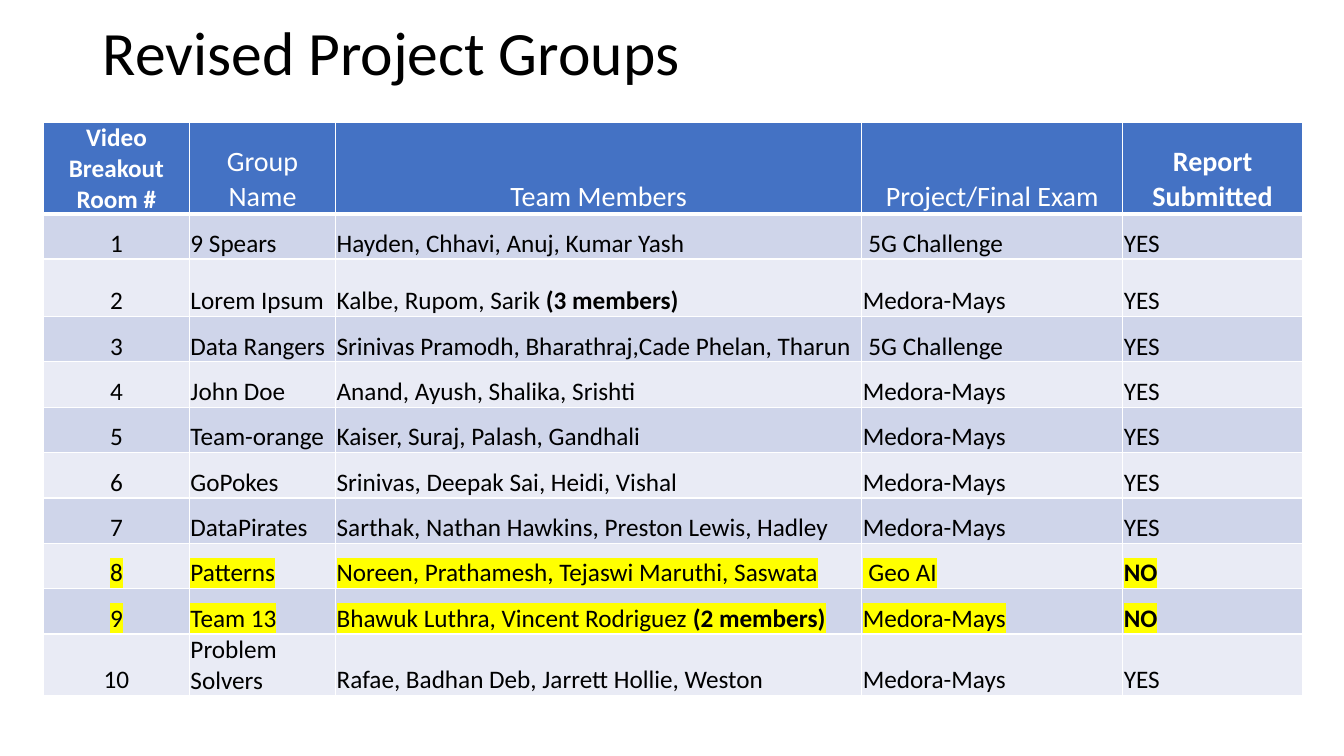
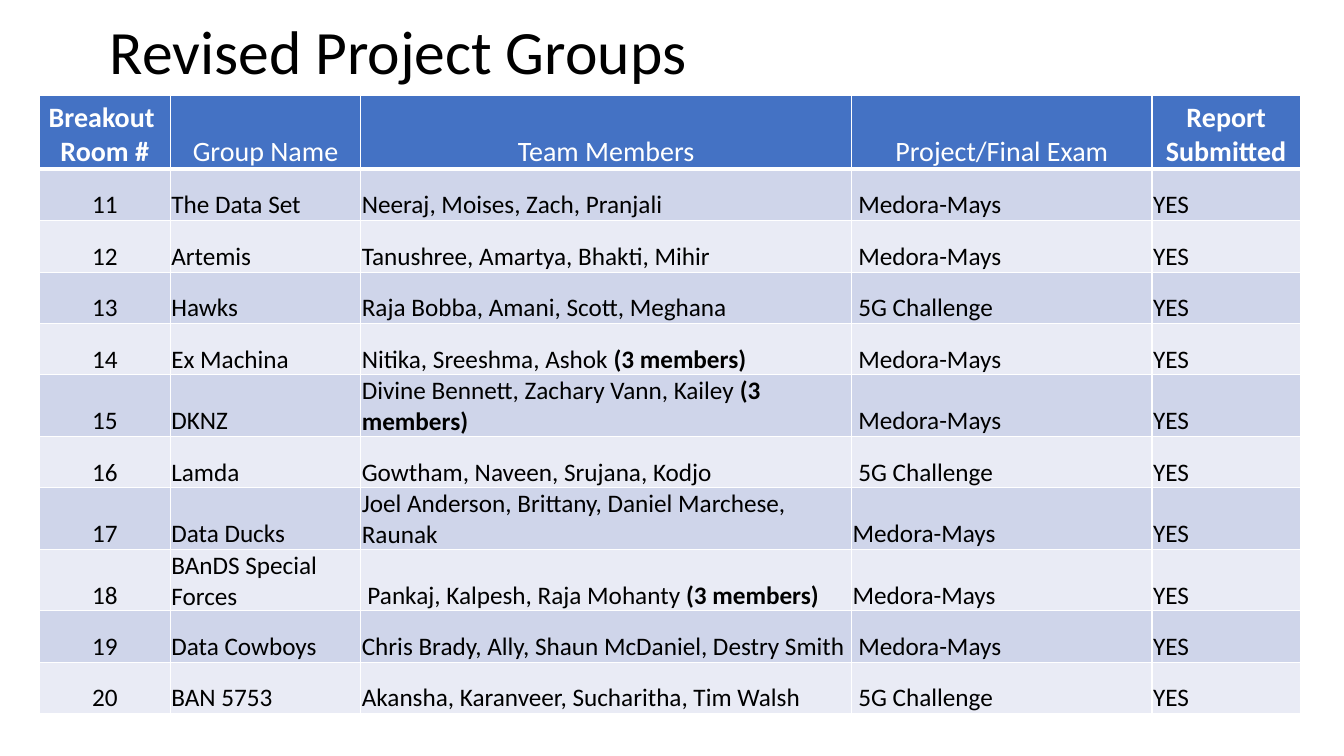
import dataclasses

import lxml.etree
import pptx
import pptx.dml.color
import pptx.enum.text
import pptx.oxml.ns
import pptx.util

ALIGN = pptx.enum.text.PP_ALIGN
ANCHOR = pptx.enum.text.MSO_ANCHOR
qn = pptx.oxml.ns.qn


@dataclasses.dataclass(frozen=True)
class Theme:
    font: str = "Calibri"
    ink: str = "000000"
    white: str = "FFFFFF"
    head: str = "4472C4"
    bands: tuple = ("CFD5EA", "E9EBF5")
    mark: str = "FFFF00"
    title: int = 44
    label: int = 20
    body: int = 18
    rule: int = 1
    thick: int = 3
    inset: float = 0.01


THEME = Theme()


def tint(code):
    return pptx.dml.color.RGBColor.from_string(code)


def shade(parent, tag, code):
    """Add a colour element of the given tag to an XML parent."""
    node = lxml.etree.SubElement(parent, qn(tag))
    lxml.etree.SubElement(node, qn("a:srgbClr"), val=code)


def write(frame, text, size=THEME.body, color=THEME.ink, bold=False,
          align=ALIGN.LEFT, mark=None, space=None):
    """Fill a text frame; a part in round brackets is set in bold."""
    for index, line in enumerate(text.split("\n")):
        para = frame.paragraphs[0] if index == 0 else frame.add_paragraph()
        para.alignment = align
        if space:
            para.line_spacing = space
        plain, sign, rest = line.partition("(")
        for part, heavy in ((plain, bold), (sign + rest, True)):
            if not part:
                continue
            run = para.add_run()
            run.text = part
            run.font.size = pptx.util.Pt(size)
            run.font.bold = heavy
            run.font.color.rgb = tint(color)
            if mark:
                shade(run.font._element, "a:highlight", mark)
            run.font.name = THEME.font


class Deck:
    """Places elements on a grid of 160 columns by 90 rows."""

    def __init__(self, theme):
        self.theme = theme
        self.show = pptx.Presentation()
        self.show.slide_width = pptx.util.Inches(13.33)
        self.show.slide_height = pptx.util.Inches(7.5)

    def col(self, count):
        return round(self.show.slide_width * count / 160)

    def row(self, count):
        return round(self.show.slide_height * count / 90)

    def page(self):
        self.slide = self.show.slides.add_slide(self.show.slide_layouts[6])

    def title(self, text, left, high):
        box = self.slide.shapes.add_textbox(
            self.col(left), 0, self.col(138), self.row(high))
        frame = box.text_frame
        frame.word_wrap = True
        frame.vertical_anchor = ANCHOR.MIDDLE
        write(frame, text, size=self.theme.title, space=0.9)

    def table(self, left, top, widths, heights):
        shape = self.slide.shapes.add_table(
            len(heights), len(widths), self.col(left), self.row(top),
            self.col(sum(widths)), self.row(sum(heights)))
        grid = shape.table
        for column, width in zip(grid.columns, widths):
            column.width = self.col(width)
        for line, height in zip(grid.rows, heights):
            line.height = self.row(height)
        return grid

    def cell(self, cell, text, fill, base=THEME.rule, **style):
        """Style one table cell; base is the width of its bottom rule."""
        cell.vertical_anchor = ANCHOR.BOTTOM
        inset = pptx.util.Inches(self.theme.inset)
        cell.margin_left = cell.margin_right = cell.margin_top = inset
        cell.margin_bottom = 0
        props = cell._tc.get_or_add_tcPr()
        for side in "LRTB":
            wide = base if side == "B" else self.theme.rule
            edge = lxml.etree.SubElement(
                props, qn("a:ln" + side), w=str(pptx.util.Pt(wide)))
            fill_node = lxml.etree.SubElement(edge, qn("a:solidFill"))
            lxml.etree.SubElement(
                fill_node, qn("a:srgbClr"), val=self.theme.white)
        cell.fill.solid()
        cell.fill.fore_color.rgb = tint(fill)
        write(cell.text_frame, text, **style)

    def roster(self, grid, room, room_size, first, groups):
        """Fill a table with the header and one numbered row per group."""
        theme = self.theme
        heads = (room, "Group Name", "Team Members",
                 "Project/Final Exam", "Report Submitted")
        for index, text in enumerate(heads):
            self.cell(grid.cell(0, index), text, theme.head, theme.thick,
                      size=theme.label if index else room_size,
                      color=theme.white, bold=index in (0, 4),
                      align=ALIGN.CENTER)
        for line, group in enumerate(groups):
            late = group[-1] == "NO"
            for index, text in enumerate((str(first + line), *group)):
                self.cell(grid.cell(line + 1, index), text,
                          theme.bands[line % 2], bold=text == "NO",
                          align=ALIGN.LEFT if index else ALIGN.CENTER,
                          mark=theme.mark if late else None)


TITLE = "Revised Project Groups"

EARLY = (
    ("9 Spears", "Hayden, Chhavi, Anuj, Kumar Yash", " 5G Challenge", "YES"),
    ("Lorem Ipsum", "Kalbe, Rupom, Sarik (3 members)", "Medora-Mays", "YES"),
    ("Data Rangers", "Srinivas Pramodh, Bharathraj,Cade Phelan, Tharun",
     " 5G Challenge", "YES"),
    ("John Doe", "Anand, Ayush, Shalika, Srishti", "Medora-Mays", "YES"),
    ("Team-orange", "Kaiser, Suraj, Palash, Gandhali", "Medora-Mays", "YES"),
    ("GoPokes", "Srinivas, Deepak Sai, Heidi, Vishal", "Medora-Mays", "YES"),
    ("DataPirates", "Sarthak, Nathan Hawkins, Preston Lewis, Hadley",
     "Medora-Mays", "YES"),
    ("Patterns", "Noreen, Prathamesh, Tejaswi Maruthi, Saswata",
     " Geo AI", "NO"),
    ("Team 13", "Bhawuk Luthra, Vincent Rodriguez (2 members)",
     "Medora-Mays", "NO"),
    ("Problem Solvers", "Rafae, Badhan Deb, Jarrett Hollie, Weston",
     "Medora-Mays", "YES"),
)

LATER = (
    ("The Data Set", "Neeraj, Moises, Zach, Pranjali", " Medora-Mays", "YES"),
    ("Artemis", "Tanushree, Amartya, Bhakti, Mihir", " Medora-Mays", "YES"),
    ("Hawks", "Raja Bobba, Amani, Scott, Meghana", " 5G Challenge", "YES"),
    ("Ex Machina", "Nitika, Sreeshma, Ashok (3 members)",
     " Medora-Mays", "YES"),
    ("DKNZ", "Divine Bennett, Zachary Vann, Kailey (3 members)",
     " Medora-Mays", "YES"),
    ("Lamda", "Gowtham, Naveen, Srujana, Kodjo", " 5G Challenge", "YES"),
    ("Data Ducks", "Joel Anderson, Brittany, Daniel Marchese, Raunak",
     "Medora-Mays", "YES"),
    ("BAnDS Special Forces", " Pankaj, Kalpesh, Raja Mohanty (3 members)",
     "Medora-Mays", "YES"),
    ("Data Cowboys", "Chris Brady, Ally, Shaun McDaniel, Destry Smith",
     " Medora-Mays", "YES"),
    ("BAN 5753", "Akansha, Karanveer, Sucharitha, Tim Walsh",
     " 5G Challenge", "YES"),
)


def main():
    deck = Deck(THEME)

    deck.page()
    deck.title(TITLE, 11.04, 13.2)
    grid = deck.table(5.16, 14.52, (17.4, 17.4, 62.64, 31.08, 21.36),
                      [9.24, 5.4, 6.84] + [5.4] * 7 + [6.84])
    deck.roster(grid, "Video Breakout Room #", THEME.body, 1, EARLY)

    deck.page()
    deck.title(TITLE, 11.88, 12.96)
    grid = deck.table(4.68, 11.4, (15.6, 22.68, 58.44, 35.76, 17.64),
                      [8.76] + [6.12] * 4 + [7.32] + [6.12] * 5)
    deck.roster(grid, "Breakout \nRoom #", THEME.label, 11, LATER)

    deck.show.save("out.pptx")


if __name__ == "__main__":
    main()
